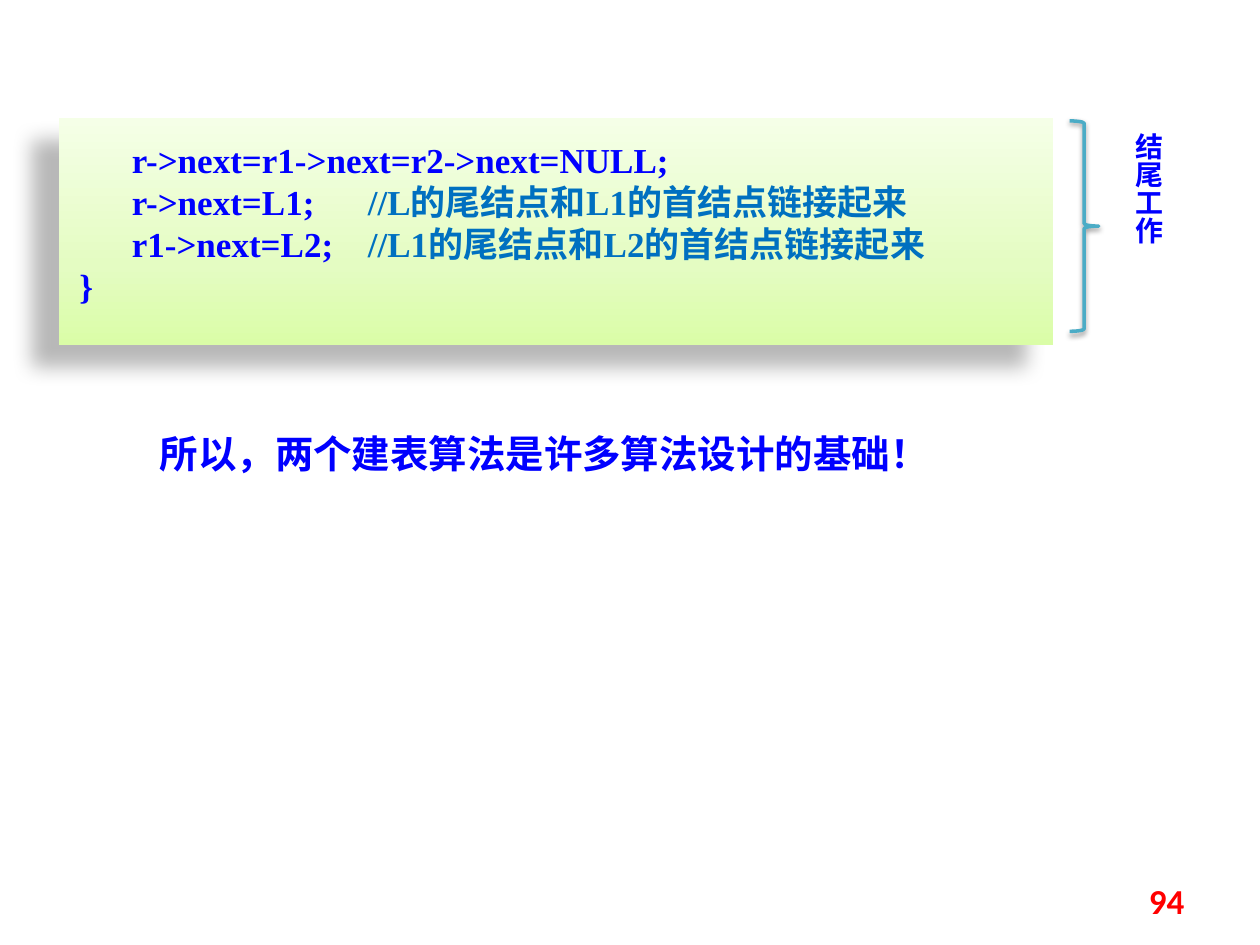
"""Build the slide that closes the list-splitting algorithm."""
from copy import deepcopy
from dataclasses import dataclass
from typing import NamedTuple

from lxml import etree
from pptx import Presentation
from pptx.dml.color import RGBColor
from pptx.enum.shapes import MSO_SHAPE
from pptx.enum.text import MSO_ANCHOR, MSO_AUTO_SIZE, PP_ALIGN
from pptx.oxml.ns import qn
from pptx.util import Emu, Inches, Pt

RECT, BRACE = MSO_SHAPE.RECTANGLE, MSO_SHAPE.RIGHT_BRACE
TOP, MIDDLE = MSO_ANCHOR.TOP, MSO_ANCHOR.MIDDLE
LEFT, CENTER, RIGHT = PP_ALIGN.LEFT, PP_ALIGN.CENTER, PP_ALIGN.RIGHT
GROW, FIXED = MSO_AUTO_SIZE.SHAPE_TO_FIT_TEXT, MSO_AUTO_SIZE.NONE

BLUE = RGBColor(0x00, 0x00, 0xFF)
COMMENT_BLUE = RGBColor(0x00, 0x70, 0xC0)
RED = RGBColor(0xFF, 0x00, 0x00)
TEAL = RGBColor(0x4B, 0xAC, 0xC6)
PANEL_STOPS = (
    (0, RGBColor(0xDA, 0xFD, 0xA7)),
    (0.35, RGBColor(0xE4, 0xFC, 0xC2)),
    (1, RGBColor(0xF5, 0xFF, 0xE7)),
)

SLIDE_W, SLIDE_H = Inches(10), Inches(7.5)
COMMENT_TAB = Inches(2.29)
CJK, CODE, NUMBER = "Noto Sans CJK SC", "Times New Roman", "Calibri"
CODE_FORMAT = {"size": Pt(20), "bold": True, "name": CODE}
CODE_LINES = (
    ("      r->next=r1->next=r2->next=NULL;", ""),
    ("      r->next=L1;", "//L的尾结点和L1的首结点链接起来"),
    ("      r1->next=L2;", "//L1的尾结点和L2的首结点链接起来"),
    ("}", ""),
)


class Area(NamedTuple):
    """Left, top, width and height in percent of the slide."""

    left: float
    top: float
    width: float
    height: float

    def emu(self) -> list[Emu]:
        """Return the area in slide units."""
        sides = (SLIDE_W, SLIDE_H, SLIDE_W, SLIDE_H)
        return [Emu(round(side * share / 100)) for side, share in zip(sides, self)]


class Shadow(NamedTuple):
    """Opacity in percent, blur and distance in points, angle in degrees."""

    opacity: int
    blur: float
    distance: float
    angle: int


@dataclass(frozen=True)
class Label:
    """A one-paragraph text box."""

    area: Area
    text: str
    size: int
    font: str
    color: RGBColor
    align: PP_ALIGN = LEFT
    anchor: MSO_ANCHOR = TOP
    fit: MSO_AUTO_SIZE = GROW
    vertical: bool = False


LABELS = (
    Label(Area(88, 12.8, 5, 22.27), "结尾工作", 16, CJK, BLUE, CENTER, vertical=True),
    Label(Area(11.7, 44.8, 60.2, 6.4), "所以，两个建表算法是许多算法设计的基础！", 22, CJK, BLUE),
    Label(Area(71.7, 92.67, 23.3, 5.33), "94", 20, NUMBER, RED, RIGHT, MIDDLE, FIXED),
)


def add_run(p, text: str, color: RGBColor, formats: dict) -> None:
    """Append a formatted run to a paragraph."""
    r = p.add_run()
    r.text = text
    r.font.color.rgb = color
    for name, value in formats.items():
        setattr(r.font, name, value)
    if formats["name"] == CJK:
        etree.SubElement(r.font._element, qn("a:ea"), typeface=CJK)


def add_shape(s, kind: MSO_SHAPE, area: Area, shadow: Shadow):
    """Add a preset shape with an outer black shadow."""
    sp = s.shapes.add_shape(kind, *area.emu())
    sp.shadow.inherit = False
    effects = sp._element.spPr.find(qn("a:effectLst"))
    outer = etree.SubElement(
        effects, qn("a:outerShdw"), blurRad=str(Pt(shadow.blur)),
        dist=str(Pt(shadow.distance)), dir=str(shadow.angle * 60000),
        algn="ctr", rotWithShape="0")
    black = etree.SubElement(outer, qn("a:srgbClr"), val="000000")
    etree.SubElement(black, qn("a:alpha"), val=str(shadow.opacity * 1000))
    return sp


def fill_panel(sp) -> None:
    """Give the code panel its three-stop vertical gradient."""
    sp.fill.gradient()
    sp.fill.gradient_angle = 90
    stop_list = sp._element.spPr.find(".//" + qn("a:gsLst"))
    stop_list.append(deepcopy(stop_list[0]))
    for stop, (position, color) in zip(sp.fill.gradient_stops, PANEL_STOPS):
        stop.position = position
        stop.color.rgb = color
    sp.line.fill.background()


def add_code_panel(s) -> None:
    """Add the code panel with comments aligned at a tab stop."""
    sp = add_shape(s, RECT, Area(4.7, 12.53, 78.9, 24), Shadow(28, 11.8, 19.7, 141))
    fill_panel(sp)
    tf = sp.text_frame
    frame = {"word_wrap": True, "vertical_anchor": TOP, "margin_left": Inches(0.16),
             "margin_top": Inches(0.16), "margin_bottom": Inches(0.16)}
    for name, value in frame.items():
        setattr(tf, name, value)
    for i, (code, comment) in enumerate(CODE_LINES):
        p = tf.add_paragraph() if i else tf.paragraphs[0]
        p.alignment = LEFT
        if comment:
            tabs = etree.SubElement(p._p.get_or_add_pPr(), qn("a:tabLst"))
            etree.SubElement(tabs, qn("a:tab"), pos=str(COMMENT_TAB), algn="l")
        add_run(p, code, BLUE, CODE_FORMAT)
        if comment:
            add_run(p, "\t" + comment, COMMENT_BLUE, CODE_FORMAT)


def add_brace(s) -> None:
    """Add the brace that spans the code lines."""
    sp = add_shape(s, BRACE, Area(84.9, 12.8, 2.3, 22.27), Shadow(38, 3.1, 1.6, 90))
    sp.fill.background()
    sp.line.color.rgb = TEAL
    sp.line.width = Pt(2)


def add_label(s, label: Label) -> None:
    """Add a text box."""
    tf = s.shapes.add_textbox(*label.area.emu()).text_frame
    frame = {"word_wrap": True, "auto_size": label.fit, "vertical_anchor": label.anchor}
    for name, value in frame.items():
        setattr(tf, name, value)
    if label.vertical:
        tf._txBody.bodyPr.set("vert", "eaVert")
    p = tf.paragraphs[0]
    p.alignment = label.align
    add_run(p, label.text, label.color,
            {"size": Pt(label.size), "bold": True, "name": label.font})


def main() -> None:
    """Build and save the presentation."""
    prs = Presentation()
    prs.slide_width, prs.slide_height = SLIDE_W, SLIDE_H
    s = prs.slides.add_slide(prs.slide_layouts[6])
    add_code_panel(s)
    add_brace(s)
    for label in LABELS:
        add_label(s, label)
    prs.save("out.pptx")


if __name__ == "__main__":
    main()
